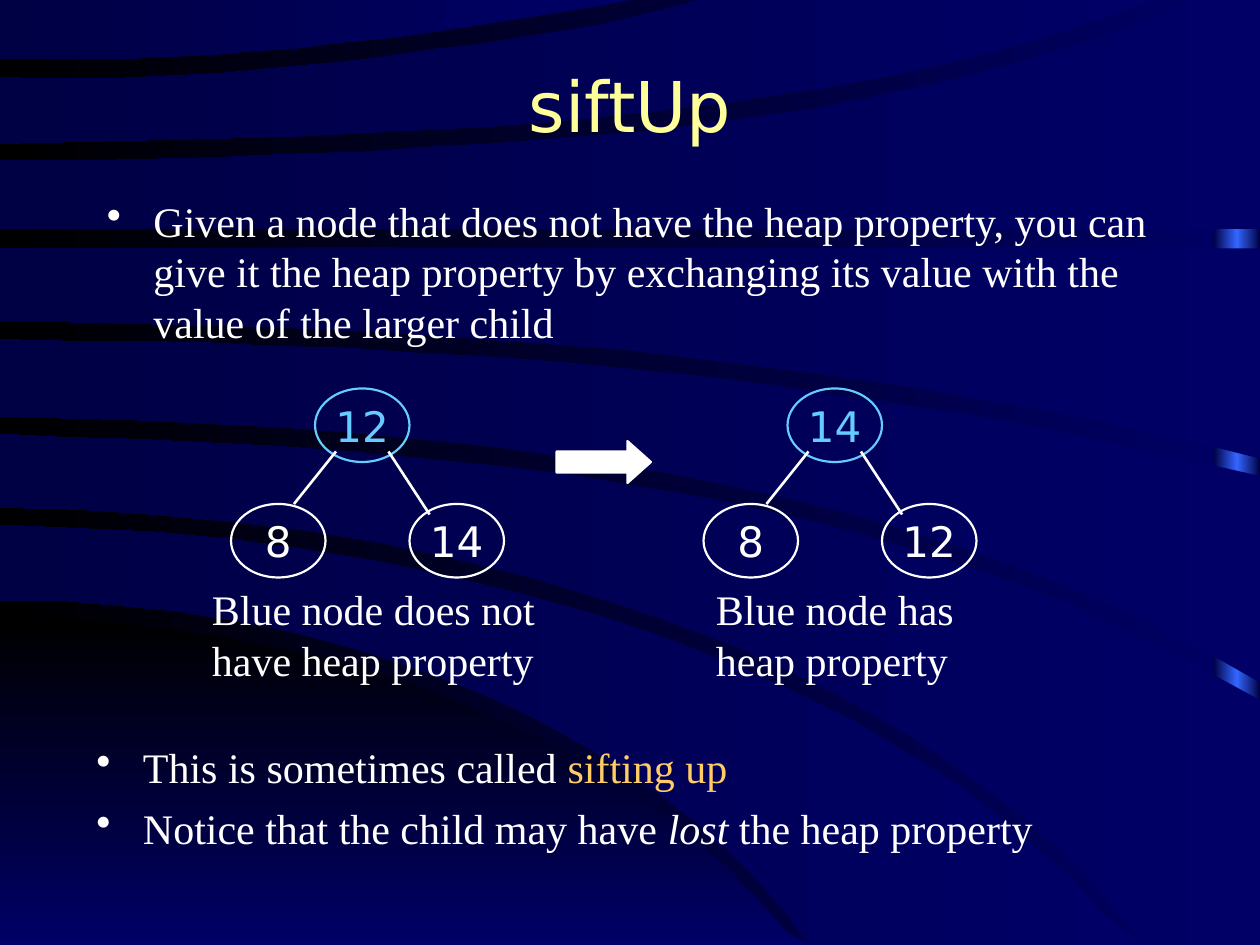
import copy

import pptx
import pptx.dml.color
import pptx.enum.shapes
import pptx.enum.text
import pptx.oxml
import pptx.oxml.ns
import pptx.util

Pt = pptx.util.Pt
SHAPES = pptx.enum.shapes.MSO_SHAPE
ALIGN = pptx.enum.text.PP_ALIGN
ANCHOR = pptx.enum.text.MSO_ANCHOR
SANS, SERIF = "DejaVu Sans", "Times New Roman"
WIDTH, HEIGHT = 720, 540
GAP = 10.5  # dark line between two background bands
COLOURS = {
    "navy": "000066", "midnight": "000044", "black": "000000", "glow": "3366FF",
    "title": "FFFF99", "text": "FFFFFF", "node": "66CCFF", "term": "FFCC66",
}

# Lower edge of each band, and the page corners that the next band takes in
EDGES = [
    ([(0, 34), (125, 31), (249, 18), (361, 0)], [(400, 0)]),
    ([(0, 82), (246, 74), (466, 51), (660, 0)], [(679, 0), (WIDTH, 0)]),
    ([(0, 131), (240, 131), (480, 131), (WIDTH, 131)], []),
    ([(0, 184), (240, 191), (480, 215), (WIDTH, 262)], []),
    ([(0, 238), (240, 251), (488, 294), (WIDTH, 390)], [(WIDTH, HEIGHT)]),
    ([(0, 290), (259, 319), (488, 402), (654, HEIGHT)], []),
    ([(0, 343), (193, 368), (354, 438), (462, HEIGHT)], [(0, HEIGHT)]),
]


def rgb(name):
    return pptx.dml.color.RGBColor.from_string(COLOURS[name])


def points(*lengths):
    return [Pt(length) for length in lengths]


def curve(knots, steps=18):
    """Sample the cubic that runs through four knots."""
    samples = []
    for step in range(steps + 1):
        t = 3 * step / steps
        weights = [(1 - t) * (2 - t) * (3 - t) / 6, t * (2 - t) * (3 - t) / 2,
                   t * (t - 1) * (3 - t) / 2, t * (t - 1) * (t - 2) / 6]
        samples.append(tuple(sum(w * knot[axis] for w, knot in zip(weights, knots))
                             for axis in (0, 1)))
    return samples


class SlideBuilder:
    def __init__(self, page, size=24):
        self.page = page
        self.size = size

    def gradient(self, fill, names, angle):
        fill.gradient()
        fill.gradient_angle = angle
        last = fill.gradient_stops[-1]._gs
        for _ in names[2:]:
            last.addprevious(copy.deepcopy(last))
        for index, (stop, name) in enumerate(zip(fill.gradient_stops, names)):
            stop.color.rgb = rgb(name)
            stop.position = index / (len(names) - 1)

    def backdrop(self, shape, names, angle):
        shape.shadow.inherit = False
        shape.line.fill.background()
        self.gradient(shape.fill, names, angle)

    def band(self, outline, names, angle):
        builder = self.page.shapes.build_freeform(*outline[0], scale=Pt(1))
        builder.add_line_segments(outline[1:], close=True)
        self.backdrop(builder.convert_to_shape(), names, angle)

    def bands(self):
        upper = [(0, 0)]
        for knots, corners in EDGES:
            lower = curve(knots)
            self.band(upper + lower[::-1], ["navy", "midnight"], 180)
            upper = [(x, min(y + GAP, HEIGHT)) for x, y in lower] + corners
        self.band(upper, ["black", "navy"], 270)

    def strip(self, *box):
        shape = self.page.shapes.add_shape(SHAPES.RECTANGLE, *points(*box))
        self.backdrop(shape, ["midnight", "glow", "midnight"], 180)

    def style(self, span, font, colour="text", size=None):
        span.font.name = font
        span.font.size = Pt(size or self.size)
        span.font.color.rgb = rgb(colour)

    def title(self, text, *box):
        title = self.page.shapes.title
        title.element.getparent().append(title.element)  # in front of the backdrop
        title.left, title.top, title.width, title.height = points(*box)
        frame = title.text_frame
        frame.text = text
        frame.vertical_anchor = ANCHOR.MIDDLE
        frame.paragraphs[0].alignment = ALIGN.CENTER
        self.style(frame.paragraphs[0].runs[0], SANS, "title", 40)

    def bullets(self, items, *box):
        """Each item is a list of (text, colour, italic) spans."""
        frame = self.page.shapes.add_textbox(*points(*box)).text_frame
        frame.word_wrap = True
        for index, spans in enumerate(items):
            para = frame.add_paragraph() if index else frame.paragraphs[0]
            para.space_before = Pt(6)
            properties = para._p.get_or_add_pPr()
            properties.set("marL", str(Pt(26.64)))
            properties.set("indent", str(-Pt(26.64)))
            properties.append(pptx.oxml.parse_xml(
                f'<a:buChar {pptx.oxml.ns.nsdecls("a")} char="•"/>'))
            for text, colour, italic in spans:
                span = para.add_run()
                span.text = text
                self.style(span, SERIF, colour)
                span.font.italic = italic

    def node(self, shapes, text, left, top, colour="text"):
        oval = shapes.add_shape(SHAPES.OVAL, *points(left, top, 54, 42))
        oval.shadow.inherit = False
        oval.fill.background()
        oval.line.color.rgb = rgb(colour)
        oval.line.width = Pt(1.25)
        frame = oval.text_frame
        frame.word_wrap = False
        frame.text = text
        frame.vertical_anchor = ANCHOR.MIDDLE
        frame.paragraphs[0].alignment = ALIGN.CENTER
        self.style(frame.paragraphs[0].runs[0], SANS, colour)

    def branch(self, shapes, *ends):
        line = shapes.add_connector(
            pptx.enum.shapes.MSO_CONNECTOR.STRAIGHT, *points(*ends))
        line.line.color.rgb = rgb("text")
        line.line.width = Pt(1.5)
        line._element.spPr.append(
            pptx.oxml.parse_xml(f'<a:effectLst {pptx.oxml.ns.nsdecls("a")}/>'))

    def caption(self, shapes, text, *box):
        frame = shapes.add_textbox(*points(*box)).text_frame
        frame.word_wrap = True
        frame.text = text
        frame.paragraphs[0].space_before = Pt(15)
        self.style(frame.paragraphs[0].runs[0], SERIF)

    def tree(self, left, values, caption, caption_left, caption_width, top=222):
        shapes = self.page.shapes.add_group_shape().shapes
        root, left_child, right_child = values
        self.node(shapes, root, left, top, "node")
        self.node(shapes, left_child, left - 48, top + 66)
        self.node(shapes, right_child, left + 54, top + 66)
        self.branch(shapes, left + 12, top + 36, left - 12, top + 66)
        self.branch(shapes, left + 42, top + 36, left + 65.5, top + 72)
        self.caption(shapes, caption, caption_left, top + 108, caption_width, 64.8)

    def arrow(self, *box):
        arrow = self.page.shapes.add_shape(SHAPES.RIGHT_ARROW, *points(*box))
        arrow.shadow.inherit = False
        arrow.adjustments[1] = 0.56
        arrow.fill.solid()
        arrow.fill.fore_color.rgb = rgb("text")
        arrow.line.color.rgb = rgb("text")
        arrow.line.width = Pt(1.25)


def main():
    deck = pptx.Presentation()
    deck.slide_width, deck.slide_height = points(WIDTH, HEIGHT)
    page = deck.slides.add_slide(deck.slide_layouts[5])
    slide = SlideBuilder(page)

    # Backdrop
    slide.gradient(page.background.fill, ["navy", "black"], 180)
    slide.strip(693.5, 0, 26.5, HEIGHT)
    slide.bands()

    # Title and bullets
    slide.title("siftUp", 24, 30, 672, 60)
    slide.bullets([[(
        "Given a node that does not have the heap property, you can give it the heap "
        "property by exchanging its value with the value of the larger child",
        "text", False)]], 54, 108, 612, 120)
    slide.bullets([
        [("This is sometimes called ", "text", False), ("sifting up", "term", False)],
        [("Notice that the child may have ", "text", False), ("lost", "text", True),
         (" the heap property", "text", False)],
    ], 48, 420, 618, 102)

    # Heap before and after the exchange
    slide.tree(450, ["14", "8", "12"], "Blue node has heap property", 402, 156)
    slide.tree(180, ["12", "8", "14"], "Blue node does not have heap property", 114, 204)
    slide.arrow(318, 252, 54, 24)

    deck.save("out.pptx")


if __name__ == "__main__":
    main()
